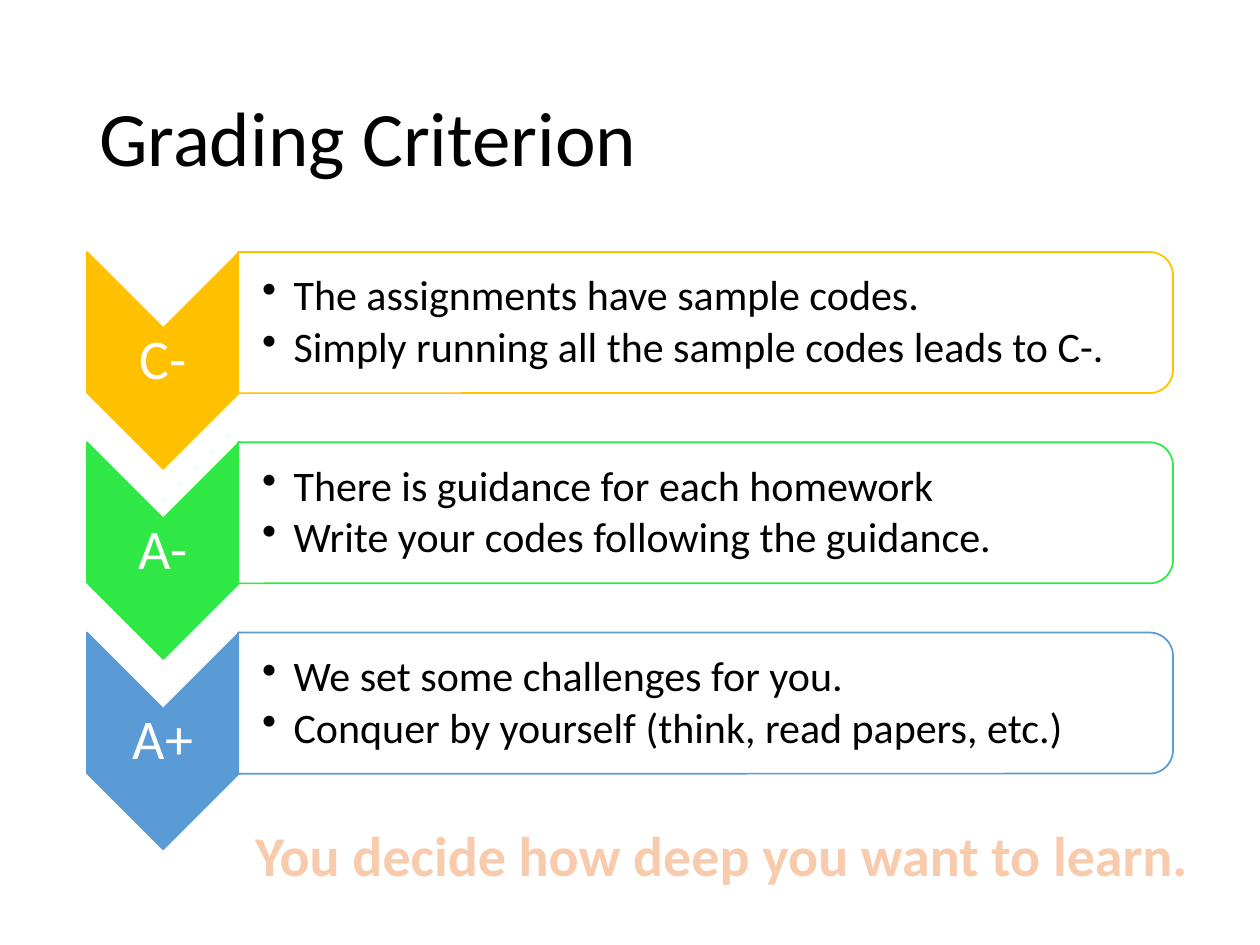
from lxml import etree
from pptx import Presentation
from pptx.dml.color import RGBColor
from pptx.enum.shapes import MSO_SHAPE
from pptx.enum.text import MSO_ANCHOR, PP_ALIGN
from pptx.oxml.ns import qn
from pptx.util import Inches, Pt

CHEVRON = MSO_SHAPE.CHEVRON
PANEL = MSO_SHAPE.ROUND_2_SAME_RECTANGLE
LEFT, CENTER = PP_ALIGN.LEFT, PP_ALIGN.CENTER
TOP, MIDDLE = MSO_ANCHOR.TOP, MSO_ANCHOR.MIDDLE

FONT = "Calibri"
COLORS = {
    "black": "000000",
    "white": "FFFFFF",
    "gold": "FFC000",
    "green": "30E845",
    "blue": "5B9BD5",
    "peach": "F8CBAD",
}
GRADES = [
    ("C-", "gold", ["The assignments have sample codes.",
                    "Simply running all the sample codes leads to C-."]),
    ("A-", "green", ["There is guidance for each homework",
                     "Write your codes following the guidance."]),
    ("A+", "blue", ["We set some challenges for you.",
                    "Conquer by yourself (think, read papers, etc.)"]),
]
FIRST_TOP, ROW_STEP = 2.0, 1.51
CHEVRON_LEFT, CHEVRON_WIDTH, CHEVRON_HEIGHT = 0.69, 1.21, 1.72
PANEL_LEFT, PANEL_WIDTH, PANEL_HEIGHT = 1.89, 7.42, 1.12


def rgb(name):
    return RGBColor.from_string(COLORS[name])


def add_bullet(para):
    props = para._p.get_or_add_pPr()
    props.set("marL", str(Inches(0.25)))
    props.set("indent", str(-Inches(0.25)))
    etree.SubElement(props, qn("a:buChar")).set("char", "•")


def add_text(page, lines, left, top, width, height, *, size, color="black",
             bold=False, align=LEFT, anchor=MIDDLE, spacing=0.9, after=0,
             insets=(0.1, 0.05, 0.1, 0.05), bullets=False):
    box = page.shapes.add_textbox(Inches(left), Inches(top), Inches(width), Inches(height))
    frame = box.text_frame
    frame.word_wrap = True
    frame.vertical_anchor = anchor
    (frame.margin_left, frame.margin_top,
     frame.margin_right, frame.margin_bottom) = map(Inches, insets)
    for index, line in enumerate(lines):
        para = frame.add_paragraph() if index else frame.paragraphs[0]
        para.alignment = align
        para.line_spacing = spacing
        para.space_after = Pt(after)
        if bullets:
            add_bullet(para)
        span = para.add_run()
        span.text = line
        span.font.name = FONT
        span.font.size = Pt(size)
        span.font.bold = bold
        span.font.color.rgb = rgb(color)


def add_turned_shape(page, kind, left, top, width, height, fill, line):
    """Add a shape turned by 90 degrees that covers the given visible area."""
    shape = page.shapes.add_shape(
        kind,
        Inches(left + (width - height) / 2), Inches(top + (height - width) / 2),
        Inches(height), Inches(width))
    shape.rotation = 90
    shape.shadow.inherit = False
    shape.fill.solid()
    shape.fill.fore_color.rgb = rgb(fill)
    shape.line.color.rgb = rgb(line)
    shape.line.width = Pt(1)
    return shape


def set_opacity(shape, percent):
    color = shape.fill._xPr.find(qn("a:solidFill"))[0]
    etree.SubElement(color, qn("a:alpha")).set("val", str(percent * 1000))


def add_grade(page, top, grade, color, criteria):
    add_turned_shape(page, CHEVRON, CHEVRON_LEFT, top, CHEVRON_WIDTH,
                     CHEVRON_HEIGHT, color, color)
    add_text(page, [grade], CHEVRON_LEFT, top + CHEVRON_WIDTH / 2, CHEVRON_WIDTH, 0.52,
             size=32, color="white", align=CENTER, insets=(0.02,) * 4)
    panel = add_turned_shape(page, PANEL, PANEL_LEFT, top, PANEL_WIDTH,
                             PANEL_HEIGHT, "white", color)
    set_opacity(panel, 90)
    add_text(page, criteria, PANEL_LEFT, top + 0.06, 7.36, 1.01, size=24,
             after=3.6, insets=(0.19, 0.02, 0.02, 0.02), bullets=True)


def main():
    deck = Presentation()
    deck.slide_width, deck.slide_height = Inches(10), Inches(7.5)
    page = deck.slides.add_slide(deck.slide_layouts[6])
    add_text(page, ["Grading Criterion"], 0.69, 0.4, 8.62, 1.45, size=44)
    for row, (grade, color, criteria) in enumerate(GRADES):
        add_grade(page, FIRST_TOP + row * ROW_STEP, grade, color, criteria)
    add_text(page, ["You decide how deep you want to learn."], 1.83, 6.46, 7.8, 0.64,
             size=32, color="peach", bold=True, align=CENTER, anchor=TOP, spacing=1.0)
    deck.save("out.pptx")


if __name__ == "__main__":
    main()
